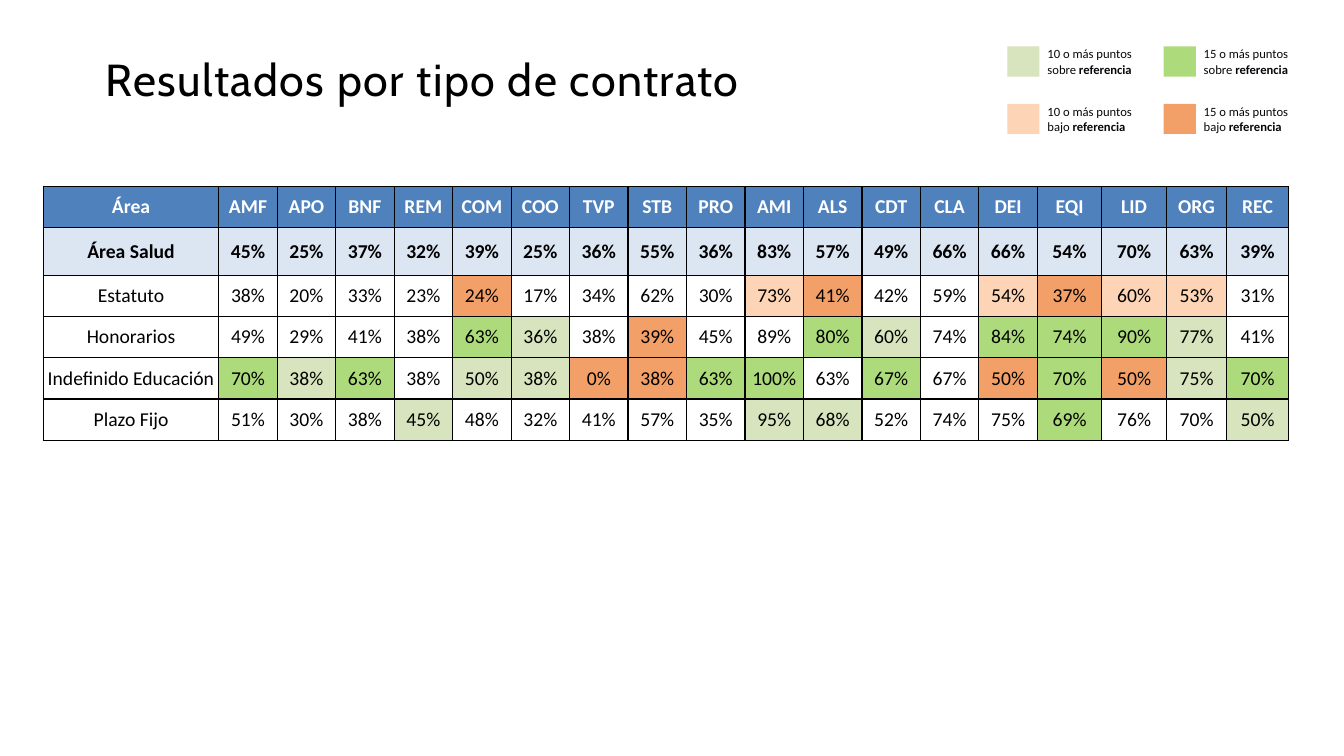
import pptx
import pptx.util
import pptx.dml.color
import pptx.enum.shapes
import pptx.enum.text
import pptx.oxml
import pptx.oxml.ns

Inches = pptx.util.Inches
Pt = pptx.util.Pt

BLACK, WHITE, INK = "000000", "FFFFFF", "07080B"
HEAD, BASE = "4F81BD", "DCE6F2"
OVER_10, OVER_15 = "D7E4BD", "ADDB7B"
UNDER_10, UNDER_15 = "FDD4B5", "F2A068"

CODES = ("AMF APO BNF REM COM COO TVP STB PRO AMI ALS CDT "
         "CLA DEI EQI LID ORG REC").split()
REF = [45, 25, 37, 32, 39, 25, 36, 55, 36, 83, 57, 49, 66, 66, 54, 70, 63, 39]
TYPES = {
    "Estatuto":
        [38, 20, 33, 23, 24, 17, 34, 62, 30, 73, 41, 42, 59, 54, 37, 60, 53, 31],
    "Honorarios":
        [49, 29, 41, 38, 63, 36, 38, 39, 45, 89, 80, 60, 74, 84, 74, 90, 77, 41],
    "Indefinido Educación":
        [70, 38, 63, 38, 50, 38, 0, 38, 63, 100, 63, 67, 67, 50, 70, 50, 75, 70],
    "Plazo Fijo":
        [51, 30, 38, 45, 48, 32, 41, 57, 35, 95, 68, 52, 74, 75, 69, 76, 70, 50],
}
WIDTHS = [1.74] + [0.58] * 14 + [0.64, 0.64, 0.6, 0.61]
HEIGHTS = [0.41, 0.47] + [0.41] * 4


def rgb(code):
    return pptx.dml.color.RGBColor.from_string(code)


def style(run, size, color, bold=False, name="Calibri"):
    run.font.size = Pt(size)
    run.font.name = name
    run.font.bold = bold
    run.font.color.rgb = rgb(color)


def shade(value, ref):
    """Give the fill for a value by its gap to the reference, or None."""
    gap = value - ref
    if abs(gap) < 10:
        return None
    if gap > 0:
        return OVER_15 if gap >= 15 else OVER_10
    return UNDER_15 if gap <= -15 else UNDER_10


def border(cell):
    props = cell._tc.get_or_add_tcPr()
    for spot, side in enumerate(("lnL", "lnR", "lnT", "lnB")):
        line = pptx.oxml.parse_xml(
            f'<a:{side} {pptx.oxml.ns.nsdecls("a")} w="12700"><a:solidFill>'
            f'<a:srgbClr val="{BLACK}"/></a:solidFill></a:{side}>')
        props.insert(spot, line)


def fill_cell(cell, text, fill, color, bold):
    cell.margin_left = cell.margin_right = 0
    cell.margin_top = cell.margin_bottom = 0
    cell.vertical_anchor = pptx.enum.text.MSO_ANCHOR.MIDDLE
    if fill:
        cell.fill.solid()
        cell.fill.fore_color.rgb = rgb(fill)
    else:
        cell.fill.background()
    border(cell)
    para = cell.text_frame.paragraphs[0]
    para.text = text
    para.alignment = pptx.enum.text.PP_ALIGN.CENTER
    style(para.runs[0], 14, color, bold)


def add_title(slide, text):
    frame = slide.shapes.add_textbox(
        Inches(1.05), Inches(0.35), Inches(9.23), Inches(0.92)).text_frame
    frame.word_wrap = True
    frame.margin_left = frame.margin_right = 0
    frame.margin_top = frame.margin_bottom = 0
    frame.vertical_anchor = pptx.enum.text.MSO_ANCHOR.MIDDLE
    para = frame.paragraphs[0]
    para.text = text
    para.line_spacing = 0.9
    style(para.runs[0], 32, BLACK, name="Cabin")
    para.runs[0].font._element.set("spc", "100")


def add_key(slide, left, top, color, text):
    """Draw one legend entry: a swatch and its label."""
    box = slide.shapes.add_shape(
        pptx.enum.shapes.MSO_SHAPE.RECTANGLE,
        Inches(left), Inches(top), Inches(0.32), Inches(0.3))
    box.shadow.inherit = False
    box.fill.solid()
    box.fill.fore_color.rgb = rgb(color)
    box.line.fill.background()
    frame = slide.shapes.add_textbox(
        Inches(left + 0.3), Inches(top - 0.05),
        Inches(1.12), Inches(0.4)).text_frame
    frame.word_wrap = True
    para = frame.paragraphs[0]
    for part, bold in ((text + " ", False), ("referencia", True)):
        run = para.add_run()
        run.text = part
        style(run, 9, INK, bold)


def add_grid(slide):
    table = slide.shapes.add_table(
        len(HEIGHTS), len(WIDTHS), Inches(0.43), Inches(1.85),
        Inches(sum(WIDTHS)), Inches(sum(HEIGHTS))).table
    table.first_row = table.horz_banding = False
    for col, width in zip(table.columns, WIDTHS):
        col.width = Inches(width)
    for row, height in zip(table.rows, HEIGHTS):
        row.height = Inches(height)
    for col, text in enumerate(["Área"] + CODES):
        fill_cell(table.cell(0, col), text, HEAD, WHITE, True)
    for col, text in enumerate(["Área Salud"] + [f"{ref}%" for ref in REF]):
        fill_cell(table.cell(1, col), text, BASE, BLACK, True)
    for row, (name, values) in enumerate(TYPES.items(), 2):
        fill_cell(table.cell(row, 0), name, None, BLACK, False)
        for col, (value, ref) in enumerate(zip(values, REF), 1):
            fill_cell(table.cell(row, col), f"{value}%",
                      shade(value, ref), BLACK, False)


def main():
    deck = pptx.Presentation()
    deck.slide_width, deck.slide_height = Inches(13.33), Inches(7.5)
    slide = deck.slides.add_slide(deck.slide_layouts[6])
    add_title(slide, "Resultados por tipo de contrato")
    add_grid(slide)
    for left, points, over, under in ((9.99, 10, OVER_10, UNDER_10),
                                      (11.54, 15, OVER_15, UNDER_15)):
        add_key(slide, left, 0.46, over, f"{points} o más puntos sobre")
        add_key(slide, left, 1.03, under, f"{points} o más puntos bajo")
    deck.save("out.pptx")


if __name__ == "__main__":
    main()
